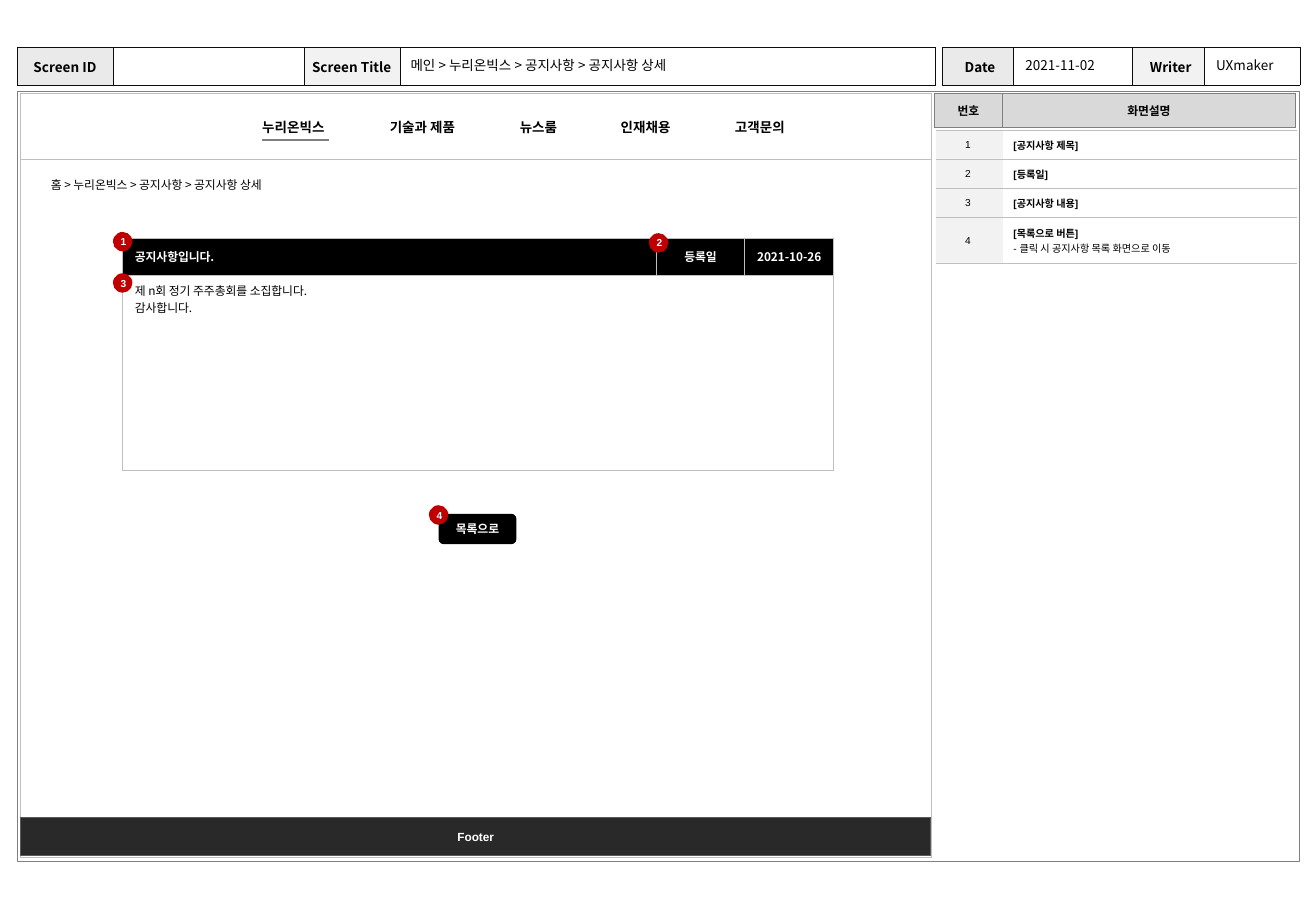
import pptx
import pptx.util
import pptx.dml.color
import pptx.enum.shapes
import pptx.enum.text
import lxml.etree
from pptx.oxml.ns import qn

RGB = pptx.dml.color.RGBColor
BLACK, WHITE, RED = RGB(0, 0, 0), RGB(255, 255, 255), RGB(0xC0, 0, 0)
INK, FOOTER_FILL, FOOTER_LINE = RGB(0x0D, 0x0D, 0x0D), RGB(0x29, 0x29, 0x29), RGB(0x59, 0x59, 0x59)
GRAY, SILVER, HEADING = RGB(0x80, 0x80, 0x80), RGB(0xBF, 0xBF, 0xBF), RGB(0xD9, 0xD9, 0xD9)
LABEL, PALE = RGB(0xEA, 0xEA, 0xEA), RGB(0xF2, 0xF2, 0xF2)
SANS, ARIAL = "Noto Sans CJK KR", "Arial"
SHAPES = pptx.enum.shapes.MSO_SHAPE
LEFT, CENTER = pptx.enum.text.PP_ALIGN.LEFT, pptx.enum.text.PP_ALIGN.CENTER
TOP, MIDDLE = pptx.enum.text.MSO_ANCHOR.TOP, pptx.enum.text.MSO_ANCHOR.MIDDLE
INSETS = (0.1, 0.05, 0.1, 0.05)

# Content
SCREEN_HEADER = ["Screen ID", "", "Screen Title", ""]
AUTHOR_HEADER = ["Date", "", "Writer", ""]
HEADER_FILLS = [LABEL, WHITE, PALE, WHITE]
HEADER_VALUES = [("메인 > 누리온빅스 > 공지사항 > 공지사항 상세", 3.28, 4.38),
                 ("2021-11-02", 8.34, 0.96), ("UXmaker", 9.91, 0.76)]
MENU = [("누리온빅스", 2.06, 0.76), ("기술과 제품", 3.11, 0.8), ("뉴스룸", 4.18, 0.54),
        ("인재채용", 5.01, 0.65), ("고객문의", 5.95, 0.65)]
BREADCRUMB = "홈 > 누리온빅스 > 공지사항 > 공지사항 상세"
NOTICE_HEAD = ["공지사항입니다.", "등록일", "2021-10-26"]
NOTICE_BODY = ["제 n회 정기 주주총회를 소집합니다.", "감사합니다."]
DESCRIPTION_HEAD = ["번호", "화면설명"]
DESCRIPTIONS = [("[공지사항 제목]", ""), ("[등록일]", ""), ("[공지사항 내용]", ""),
                ("[목록으로 버튼]", "- 클릭 시 공지사항 목록 화면으로 이동")]

# Grid, in inches
PANEL_LEFT, PANEL_WIDTH = 0.17, 7.49
NOTICE_LEFT, NOTICE_TOP = 1.01, 1.96
NOTICE_COLUMNS, NOTICE_ROWS = [4.39, 0.73, 0.73], [0.31, 1.6]
BUTTON_LEFT, BUTTON_TOP = 3.61, 4.23
BADGE = 0.16
BADGE_CENTERS = [(NOTICE_LEFT, NOTICE_TOP + 0.03),
                 (NOTICE_LEFT + NOTICE_COLUMNS[0] + 0.02, NOTICE_TOP + 0.04),
                 (NOTICE_LEFT, NOTICE_TOP + NOTICE_ROWS[0] + 0.06),
                 (BUTTON_LEFT, BUTTON_TOP + 0.01)]

deck = pptx.Presentation()
deck.slide_width, deck.slide_height = pptx.util.Inches(10.83), pptx.util.Inches(7.5)
page = deck.slides.add_slide(deck.slide_layouts[6])


def inches(*lengths):
    return [pptx.util.Inches(length) for length in lengths]


def write(frame, text, size=7, font=SANS, color=BLACK, bold=False, align=LEFT,
          before=0, spacing=None, detail=""):
    """Fill a text frame; detail is a plain second line in the same paragraph."""
    lines = [text] if isinstance(text, str) else text
    for index, line in enumerate(lines):
        para = frame.paragraphs[0] if index == 0 else frame.add_paragraph()
        para.alignment, para.space_before = align, pptx.util.Pt(before)
        if spacing:
            para.line_spacing = spacing
        if not line:
            end = lxml.etree.SubElement(para._p, qn("a:endParaRPr"))
            end.set("sz", str(size * 100))
            continue
        for part, weight in [(line, bold), (detail, False)]:
            if not part:
                continue
            if part is detail:
                para.add_line_break()
            span = para.add_run()
            span.text = part
            span.font.size, span.font.bold, span.font.name = pptx.util.Pt(size), weight, font
            span.font.color.rgb = color
            asian = lxml.etree.SubElement(span._r.get_or_add_rPr(), qn("a:ea"))
            asian.set("typeface", SANS)


def add_text(text, left, top, width, height, wrap=True, anchor=TOP, **style):
    frame = page.shapes.add_textbox(*inches(left, top, width, height)).text_frame
    frame.word_wrap, frame.vertical_anchor = wrap, anchor
    write(frame, text, **style)


def add_box(kind, left, top, width, height, fill=None, line=None, weight=0.25,
            text="", insets=INSETS, **style):
    box = page.shapes.add_shape(kind, *inches(left, top, width, height))
    box.shadow.inherit = False
    if fill is None:
        box.fill.background()
    else:
        box.fill.solid()
        box.fill.fore_color.rgb = fill
    if line is None:
        box.line.fill.background()
    else:
        box.line.color.rgb, box.line.width = line, pptx.util.Pt(weight)
    if text:
        frame = box.text_frame
        frame.vertical_anchor = MIDDLE
        (frame.margin_left, frame.margin_top,
         frame.margin_right, frame.margin_bottom) = inches(*insets)
        write(frame, text, color=WHITE, bold=True, font=ARIAL, align=CENTER, **style)


def add_line(left, right, y, color, weight):
    line = page.shapes.add_connector(pptx.enum.shapes.MSO_CONNECTOR.STRAIGHT,
                                     *inches(left, y, right, y))
    line.line.color.rgb, line.line.width = color, pptx.util.Pt(weight)
    lxml.etree.SubElement(line._element.spPr, qn("a:effectLst"))


def add_grid(left, top, columns, rows, line, weight=0.25, sides="LRTB"):
    """Add a table whose cells have the same borders on the given sides."""
    holder = page.shapes.add_table(len(rows), len(columns),
                                   *inches(left, top, sum(columns), sum(rows)))
    table = holder.table
    table.first_row = table.horz_banding = False
    for column, width in zip(table.columns, inches(*columns)):
        column.width = width
    for row, height in zip(table.rows, inches(*rows)):
        row.height = height
    for cell in table.iter_cells():
        cell.fill.background()
        properties = cell._tc.get_or_add_tcPr()
        for index, side in enumerate("LRTB"):
            border = lxml.etree.Element(qn("a:ln" + side))
            properties.insert(index, border)
            if side in sides:
                border.set("w", str(pptx.util.Pt(weight)))
                paint = lxml.etree.SubElement(border, qn("a:solidFill"))
                lxml.etree.SubElement(paint, qn("a:srgbClr")).set("val", str(line))
            else:
                lxml.etree.SubElement(border, qn("a:noFill"))
    return table


def fill_cell(cell, text, fill=None, insets=INSETS, anchor=MIDDLE, **style):
    if fill is not None:
        cell.fill.solid()
        cell.fill.fore_color.rgb = fill
    cell.margin_left, cell.margin_top, cell.margin_right, cell.margin_bottom = inches(*insets)
    cell.vertical_anchor = anchor
    write(cell.text_frame, text, **style)


# Page frame and header tables
add_box(SHAPES.RECTANGLE, 0.14, 0.75, 10.55, 6.34, line=GRAY)
for labels, left, columns, insets in [
        (SCREEN_HEADER, 0.14, [0.79, 1.57, 0.79, 4.41], (0.04,) * 4),
        (AUTHOR_HEADER, 7.75, [0.59, 0.98, 0.59, 0.79], (0.04, 0, 0, 0))]:
    header = add_grid(left, 0.39, columns, [0.31], INK)
    for cell, label, fill in zip(header.iter_cells(), labels, HEADER_FILLS):
        fill_cell(cell, label, fill, insets, size=8, bold=True, align=CENTER)
for value, left, width in HEADER_VALUES:
    add_text(value, left, 0.44, width, 0.2, anchor=MIDDLE, size=8, before=1.6)

# Screen panel with menu, breadcrumb and footer
add_line(PANEL_LEFT, PANEL_LEFT + PANEL_WIDTH, 1.31, SILVER, 0.25)
for item, left, width in MENU:
    add_text(item, left, 0.93, width, 0.24, wrap=False, size=8, font=ARIAL, bold=True)
add_box(SHAPES.RECTANGLE, PANEL_LEFT, 0.77, PANEL_WIDTH, 6.29, line=SILVER)
add_text(BREADCRUMB, 0.32, 1.41, 2.22, 0.22, wrap=False)
add_box(SHAPES.RECTANGLE, PANEL_LEFT, 6.73, PANEL_WIDTH, 0.31, FOOTER_FILL, FOOTER_LINE, 0.5,
        text="Footer")
add_line(2.16, 2.71, 1.15, GRAY, 1)

# Notice table and button
notice = add_grid(NOTICE_LEFT, NOTICE_TOP, NOTICE_COLUMNS, NOTICE_ROWS, SILVER, 0.5)
for column, title in enumerate(NOTICE_HEAD):
    fill_cell(notice.cell(0, column), title, BLACK, color=WHITE, bold=True,
              align=CENTER if column else LEFT)
notice.cell(1, 0).merge(notice.cell(1, 2))
fill_cell(notice.cell(1, 0), NOTICE_BODY, anchor=TOP)
add_box(SHAPES.ROUNDED_RECTANGLE, BUTTON_LEFT, BUTTON_TOP, 0.64, 0.25, BLACK,
        text="목록으로", insets=(0.04, 0, 0.04, 0))

# Description tables
heading = add_grid(7.69, 0.77, [0.56, 2.41], [0.28], GRAY)
for cell, title in zip(heading.iter_cells(), DESCRIPTION_HEAD):
    fill_cell(cell, title, HEADING, bold=True, align=CENTER)
descriptions = add_grid(7.7, 1.07, [0.55, 2.42], [0.24, 0.24, 0.24, 0.38], SILVER, sides="TB")
for row, (title, detail) in enumerate(DESCRIPTIONS):
    note = dict(insets=(0.09, 0.05, 0.11, 0.05), size=6, font=ARIAL)
    fill_cell(descriptions.cell(row, 0), str(row + 1), PALE, align=CENTER,
              before=1.2, spacing=1.1, **note)
    fill_cell(descriptions.cell(row, 1), title, bold=True, before=1.8, detail=detail, **note)

# Numbered badges
for number, (x, y) in enumerate(BADGE_CENTERS, 1):
    add_box(SHAPES.OVAL, x - BADGE / 2, y - BADGE / 2, BADGE, BADGE, RED,
            text=str(number), insets=(0.04, 0, 0.04, 0), size=6)

deck.save("out.pptx")
